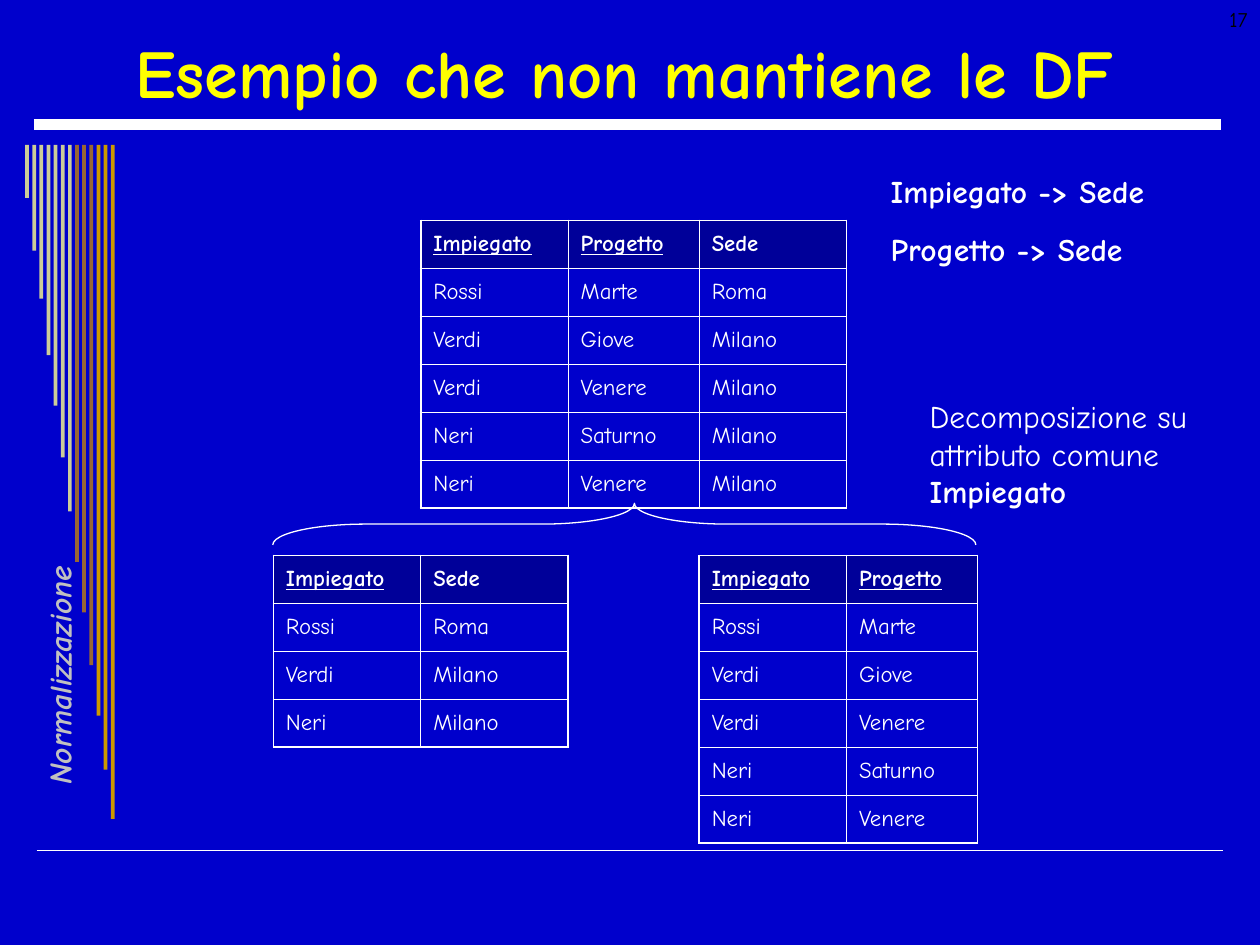
from dataclasses import dataclass

from lxml.etree import SubElement
from pptx import Presentation
from pptx.dml.color import RGBColor
from pptx.enum.shapes import MSO_CONNECTOR, MSO_SHAPE
from pptx.enum.text import MSO_ANCHOR, PP_ALIGN
from pptx.oxml import parse_xml
from pptx.oxml.ns import nsdecls, qn
from pptx.util import Inches, Pt


@dataclass(frozen=True)
class Theme:
    font: str = "Comic Neue"
    background: str = "0000CC"
    header: str = "000099"
    title: str = "FFFF00"
    text: str = "FFFFFF"
    section: str = "C0C0C0"
    number: str = "000000"
    sand: str = "CCCC99"
    brown: str = "996633"
    gold: str = "CC9900"
    title_size: int = 39
    body_size: int = 18
    cell_size: int = 13
    number_size: int = 12
    outer_line: float = 1.08
    inner_line: float = 0.45


theme = Theme()


def add_run(paragraph, text, size, color=theme.text, bold=False):
    run = paragraph.add_run()
    run.text = text
    run.font.name = theme.font
    run.font.size = Pt(size)
    run.font.bold = bold
    run.font.color.rgb = RGBColor.from_string(color)
    return run


def add_text_box(left, top, width, height, wrap=True):
    """Add a text box and return it with its first paragraph."""
    box = slide.shapes.add_textbox(Inches(left), Inches(top), Inches(width), Inches(height))
    box.text_frame.word_wrap = wrap
    return box, box.text_frame.paragraphs[0]


presentation = Presentation()
presentation.slide_width = Inches(10)
presentation.slide_height = Inches(7.5)
slide = presentation.slides.add_slide(presentation.slide_layouts[6])
slide.background.fill.solid()
slide.background.fill.fore_color.rgb = RGBColor.from_string(theme.background)

# Rules under the title and above the footer
for left, right, top, weight in [(0.29, 9.71, 6.75, 1), (0.27, 9.69, 0.99, 6)]:
    rule = slide.shapes.add_connector(
        MSO_CONNECTOR.STRAIGHT, Inches(left), Inches(top), Inches(right), Inches(top))
    rule.line.color.rgb = RGBColor.from_string(theme.text)
    rule.line.width = Pt(weight)
    SubElement(rule._element.spPr, qn("a:effectLst"))

# Hanging stripes on the left
stripe_heights = [0.42, 0.84, 1.22, 1.67, 2.07, 2.48, 2.91, 3.31, 3.71, 4.13, 4.53, 4.96, 5.35]
stripe_colors = [theme.sand] * 7 + [theme.brown] * 3 + [theme.gold] * 3
stripe_step = (0.88 - 0.2) / (len(stripe_heights) - 1)
for index, (height, color) in enumerate(zip(stripe_heights, stripe_colors)):
    stripe = slide.shapes.add_shape(
        MSO_SHAPE.RECTANGLE, Inches(0.2 + index * stripe_step), Inches(1.15),
        Inches(0.03), Inches(height))
    stripe.shadow.inherit = False
    stripe.fill.solid()
    stripe.fill.fore_color.rgb = RGBColor.from_string(color)
    stripe.line.fill.background()

# Section name and title
section_box, paragraph = add_text_box(-0.75, 5.24, 2.28, 0.24, wrap=False)
section_box.rotation = 270
paragraph.alignment = PP_ALIGN.CENTER
add_run(paragraph, "Normalizzazione", theme.body_size, theme.section, bold=True).font.italic = True

title_box, paragraph = add_text_box(0.35, 0.21, 9.21, 0.71)
title_box.text_frame.vertical_anchor = MSO_ANCHOR.MIDDLE
paragraph.alignment = PP_ALIGN.CENTER
add_run(paragraph, "Esempio che non mantiene le DF", theme.title_size, theme.title, bold=True)

# One grid holds three relations: first row, first column, key attributes, rows
relations = [
    (0, 2, {"Impiegato", "Progetto"}, [
        ("Impiegato", "Progetto", "Sede"),
        ("Rossi", "Marte", "Roma"),
        ("Verdi", "Giove", "Milano"),
        ("Verdi", "Venere", "Milano"),
        ("Neri", "Saturno", "Milano"),
        ("Neri", "Venere", "Milano"),
    ]),
    (7, 1, {"Impiegato"}, [
        ("Impiegato", "Sede"),
        ("Rossi", "Roma"),
        ("Verdi", "Milano"),
        ("Neri", "Milano"),
    ]),
    (7, 4, {"Impiegato", "Progetto"}, [
        ("Impiegato", "Progetto"),
        ("Rossi", "Marte"),
        ("Verdi", "Giove"),
        ("Verdi", "Venere"),
        ("Neri", "Saturno"),
        ("Neri", "Venere"),
    ]),
]
column_widths = [0.24, 1.17, 1.17, 1.04, 1.17, 1.04, 0.24]
row_count, row_height = 13, 0.38
frame = slide.shapes.add_table(
    row_count, len(column_widths), Inches(1.93), Inches(1.75),
    Inches(sum(column_widths)), Inches(row_count * row_height))
table = frame.table
table.first_row = table.horz_banding = False
table._tbl.tblPr.find(qn("a:tableStyleId")).text = "{2D5ABB26-0587-4C30-8999-92F81FD0307C}"
for column, width in zip(table.columns, column_widths):
    column.width = Inches(width)
for row in table.rows:
    row.height = Inches(row_height)
for cell in table.iter_cells():
    cell.fill.background()
    cell.vertical_anchor = MSO_ANCHOR.MIDDLE
    cell.margin_top = cell.margin_bottom = 0

border_widths = {}
for first_row, first_column, keys, records in relations:
    for row_offset, record in enumerate(records):
        is_header = row_offset == 0
        for column_offset, value in enumerate(record):
            row, column = first_row + row_offset, first_column + column_offset
            cell = table.cell(row, column)
            cell.margin_top = cell.margin_bottom = Inches(0.05)
            run = add_run(cell.text_frame.paragraphs[0], value, theme.cell_size, bold=is_header)
            if is_header:
                run.font.underline = value in keys
                cell.fill.solid()
                cell.fill.fore_color.rgb = RGBColor.from_string(theme.header)
            # Each edge is shared with the neighbouring cell
            for side, opposite, row_step, column_step, is_outer in [
                ("L", "R", 0, -1, column_offset == 0),
                ("R", "L", 0, 1, column_offset == len(record) - 1),
                ("T", "B", -1, 0, row_offset <= 1),
                ("B", "T", 1, 0, is_header or row_offset == len(records) - 1),
            ]:
                weight = theme.outer_line if is_outer else theme.inner_line
                border_widths[row, column, side] = weight
                border_widths[row + row_step, column + column_step, opposite] = weight

# Every side is written, so that edges without a border stay empty
solid_line = f'<a:solidFill><a:srgbClr val="{theme.text}"/></a:solidFill>'
for row in range(row_count):
    for column in range(len(column_widths)):
        properties = table.cell(row, column)._tc.get_or_add_tcPr()
        for side in "BTRL":
            weight = border_widths.get((row, column, side), 0)
            line_fill = solid_line if weight else "<a:noFill/>"
            properties.insert(0, parse_xml(
                f'<a:ln{side} {nsdecls("a")} w="{Pt(weight)}">{line_fill}</a:ln{side}>'))

# Brace from the full relation to its two parts
brace_length, tip_from_right = 5.58, 2.71
brace = slide.shapes.add_shape(
    MSO_SHAPE.LEFT_BRACE, Inches(4.79), Inches(1.37), Inches(0.33), Inches(brace_length))
brace.rotation = 90
brace.adjustments[0] = 2.24
brace.adjustments[1] = tip_from_right / brace_length
brace.shadow.inherit = False
brace.fill.background()
brace.line.color.rgb = RGBColor.from_string(theme.text)
brace.line.width = Pt(0.75)

# Notes on the right and the slide number
_, paragraph = add_text_box(7.28, 3.1, 2.43, 1)
add_run(paragraph, "Decomposizione su attributo comune ", theme.body_size)
add_run(paragraph, "Impiegato", theme.body_size, bold=True)

dependency_box, paragraph = add_text_box(6.97, 1.32, 2.67, 0.86)
add_run(paragraph, "Impiegato -> Sede", theme.body_size, bold=True)
paragraph = dependency_box.text_frame.add_paragraph()
paragraph.space_before = Pt(11.2)
add_run(paragraph, "Progetto -> Sede", theme.body_size, bold=True)

_, paragraph = add_text_box(7.67, 0, 2.33, 0.5)
paragraph.alignment = PP_ALIGN.RIGHT
add_run(paragraph, "17", theme.number_size, theme.number)

presentation.save("out.pptx")
